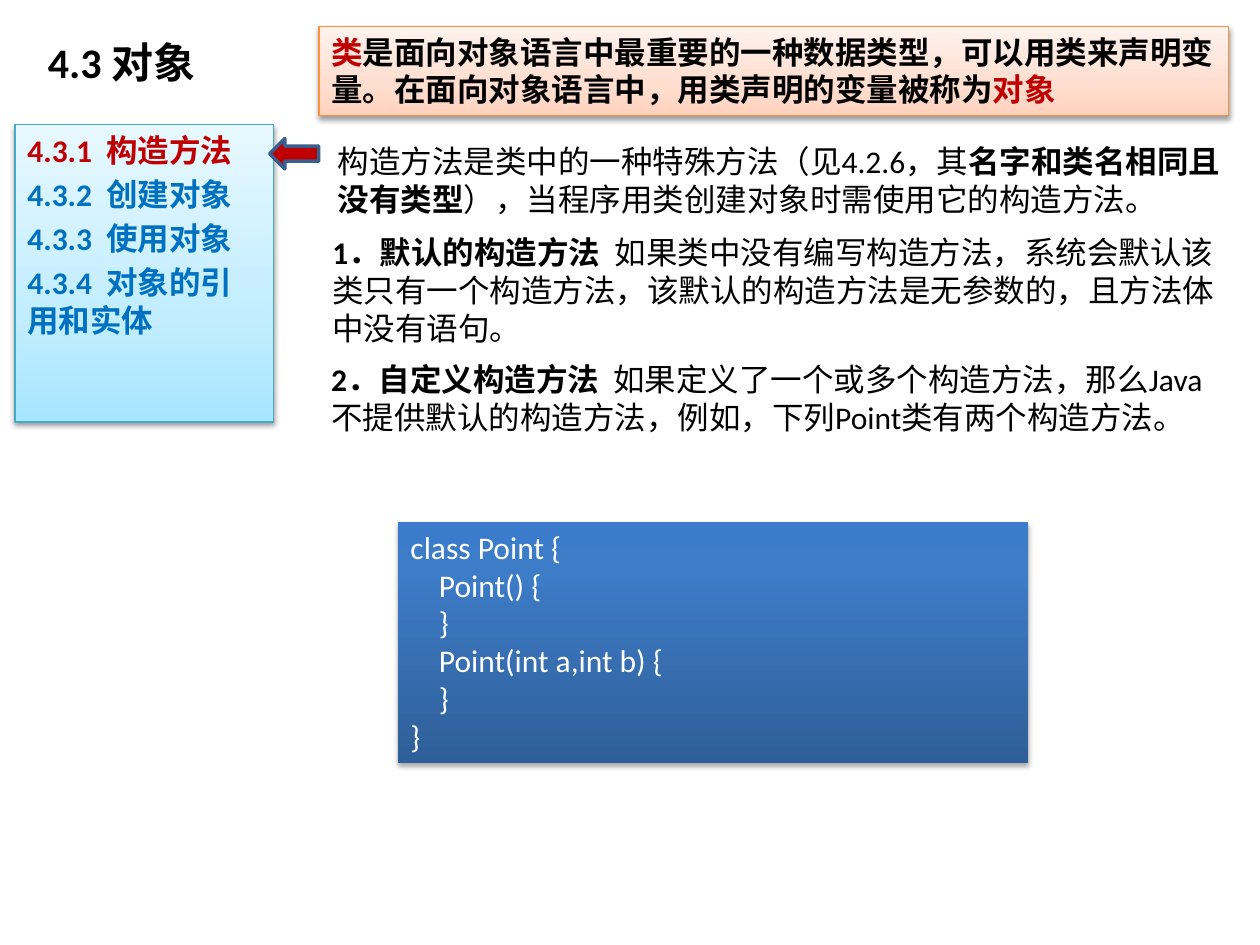
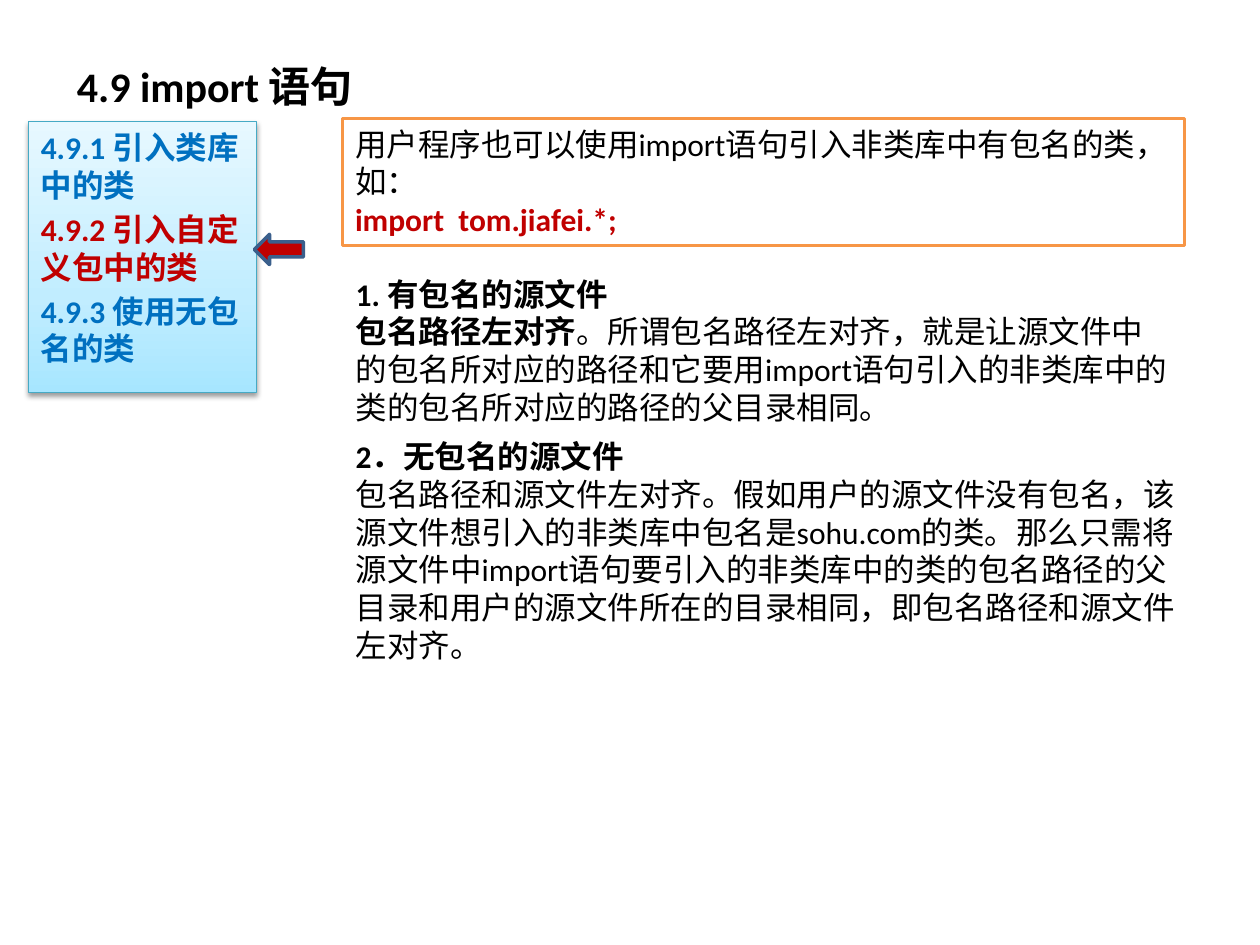
from lxml import etree
from pptx import Presentation
from pptx.dml.color import RGBColor
from pptx.enum.lang import MSO_LANGUAGE_ID
from pptx.enum.shapes import MSO_SHAPE
from pptx.enum.text import MSO_ANCHOR, MSO_AUTO_SIZE, PP_ALIGN
from pptx.oxml import parse_xml
from pptx.util import Pt

RECTANGLE, LEFT_ARROW = MSO_SHAPE.RECTANGLE, MSO_SHAPE.LEFT_ARROW
LEFT, TOP, BOTTOM = PP_ALIGN.LEFT, MSO_ANCHOR.TOP, MSO_ANCHOR.BOTTOM
NO_AUTOFIT = MSO_AUTO_SIZE.NONE
CHINESE = MSO_LANGUAGE_ID.SIMPLIFIED_CHINESE
NAMESPACE = "http://schemas.openxmlformats.org/drawingml/2006/main"

FONT = "Calibri"
BODY_SIZE, TITLE_SIZE, TITLE_HEIGHT = 18, 24, 38
OUTLINE_GAP = 3.6
ARROW_WIDTH, ARROW_HEIGHT = 28, 17.3
BLACK, WHITE, RED, BLUE = "000000", "FFFFFF", "C00000", "0070C0"
ARROW_LINE = "3A5F8C"

# Run styles: colour, bold
STYLES = {
    "plain": (BLACK, False),
    "bold": (BLACK, True),
    "key": (RED, True),
    "topic": (BLUE, True),
    "code": (WHITE, False),
}
# Gradients run from bottom to top; a shadow is (opacity in %, distance)
PANELS = {
    "text": {},
    "outline": {"gradient": [(0, "A7E6FF"), (35, "C1EDFF"), (100, "E7F8FF")],
                "line": ("46AAC5", 0.75), "shadow": (38, 1.6)},
    "definition": {"gradient": [(0, "FFD2BD"), (35, "FFDED0"), (100, "FFF2ED")],
                   "line": ("F69240", 0.75), "shadow": (38, 1.6)},
    "code": {"gradient": [(0, "2F5F99"), (80, "3D7CC7"), (100, "3A7CCB")],
             "shadow": (35, 1.8)},
    "frame": {"fill": WHITE, "line": ("F79646", 2)},
}

# Title place: left, bottom, width. Arrow place: left, top.
# Boxes: panel, (left, top, width, height), paragraphs of (text, style) runs
SLIDES = [
    {
        "title": "4.3 对象",
        "title_place": (20.2, 53, 155),
        "topics": ["4.3.1  构造方法", "4.3.2  创建对象", "4.3.3  使用对象",
                   "4.3.4  对象的引用和实体"],
        "current": 0,
        "outline_place": (8.6, 71.3, 147.6, 169.9),
        "arrow_place": (154.1, 79.2),
        "boxes": [
            ("definition", (182.2, 15.1, 519.8, 51.1), [
                [("类", "key"),
                 ("是面向对象语言中最重要的一种数据类型，可以用类来声明变量。"
                  "在面向对象语言中，用类声明的变量被称为", "bold"),
                 ("对象", "key")]]),
            ("text", (185.8, 77.8, 519.8, 51.1), [
                [("构造方法是类中的一种特殊方法（见4.2.6，其", "plain"),
                 ("名字和类名相同且没有类型", "bold"),
                 ("），当程序用类创建对象时需使用它的构造方法。", "plain")]]),
            ("text", (182.9, 129.6, 528.5, 72.7), [
                [("1．默认的构造方法  ", "bold"),
                 ("如果类中没有编写构造方法，系统会默认该类只有一个构造方法，"
                  "该默认的构造方法是无参数的，且方法体中没有语句。", "plain")]]),
            ("text", (182.2, 202.3, 528.5, 51.1), [
                [("2．自定义构造方法  ", "bold"),
                 ("如果定义了一个或多个构造方法，那么Java不提供默认的构造方法，"
                  "例如，下列Point类有两个构造方法。", "plain")]]),
            ("code", (227.5, 298.1, 360, 138.2), [
                [(line, "code")] for line in (
                    "class Point {",
                    "    Point() {",
                    "    }",
                    "    Point(int a,int b) {",
                    "    }",
                    "}")]),
        ],
    },
    {
        "title": "4.9 import 语句",
        "title_place": (36.7, 67, 233),
        "topics": ["4.9.1 引入类库中的类", "4.9.2 引入自定义包中的类",
                   "4.9.3 使用无包名的类"],
        "current": 1,
        "outline_place": (16.2, 69.5, 130.3, 154.8),
        "arrow_place": (145.4, 133.9),
        "boxes": [
            ("frame", (195.8, 67.7, 481, 72.7), [
                [("用户程序也可以使用import语句引入非类库中有包名的类，如：", "plain")],
                [("import  tom.jiafei.*;", "key")]]),
            ("text", (196.2, 153.4, 480.2, 94.3), [
                [("1. 有包名的源文件", "bold")],
                [("包名路径左对齐", "bold"),
                 ("。所谓包名路径左对齐，就是让源文件中的包名所对应的路径和它要用"
                  "import语句引入的非类库中的类的包名所对应的路径的父目录相同。",
                  "plain")]]),
            ("text", (196.2, 246.2, 493.9, 138.2), [
                [("2．无包名的源文件", "bold")],
                [("包名路径和源文件左对齐。假如用户的源文件没有包名，该源文件想引入的"
                  "非类库中包名是sohu.com的类。那么只需将源文件中import语句要引入的"
                  "非类库中的类的包名路径的父目录和用户的源文件所在的目录相同，"
                  "即包名路径和源文件左对齐。", "plain")]]),
        ],
    },
]


def rgb(value):
    return RGBColor.from_string(value)


def points(*values):
    return [Pt(value) for value in values]


def set_gradient(shape, stops):
    shape.fill.gradient()
    gradient = shape._element.spPr.find(f"{{{NAMESPACE}}}gradFill")
    stop_list = "".join(
        f'<a:gs pos="{position * 1000}"><a:srgbClr val="{color}"/></a:gs>'
        for position, color in stops)
    gradient.getparent().replace(gradient, parse_xml(
        f'<a:gradFill xmlns:a="{NAMESPACE}" rotWithShape="1">'
        f'<a:gsLst>{stop_list}</a:gsLst>'
        '<a:lin ang="16200000" scaled="0"/></a:gradFill>'))


def set_shadow(shape, opacity, distance):
    effects = shape._element.spPr.find(f"{{{NAMESPACE}}}effectLst")
    shadow = etree.SubElement(
        effects, f"{{{NAMESPACE}}}outerShdw", blurRad=str(Pt(3.1)),
        dist=str(Pt(distance)), dir="5400000", rotWithShape="0")
    color = etree.SubElement(shadow, f"{{{NAMESPACE}}}srgbClr", val=BLACK)
    etree.SubElement(color, f"{{{NAMESPACE}}}alpha", val=str(opacity * 1000))


def set_line(shape, color, width):
    shape.line.color.rgb = rgb(color)
    shape.line.width = Pt(width)


def write(frame, paragraphs, anchor=TOP, size=BODY_SIZE, gap=0):
    frame.word_wrap = True
    frame.auto_size = NO_AUTOFIT
    frame.vertical_anchor = anchor
    for index, runs in enumerate(paragraphs):
        paragraph = frame.add_paragraph() if index else frame.paragraphs[0]
        paragraph.alignment = LEFT
        paragraph.space_before = Pt(gap if index else 0)
        for text, style in runs:
            color, bold = STYLES[style]
            run = paragraph.add_run()
            run.text = text
            run.font.name = FONT
            run.font.size = Pt(size)
            run.font.bold = bold
            run.font.color.rgb = rgb(color)
            run.font.language_id = CHINESE


def add_box(slide, panel, place, paragraphs, gap=0):
    look = PANELS[panel]
    if not look:
        shape = slide.shapes.add_textbox(*points(*place))
    else:
        shape = slide.shapes.add_shape(RECTANGLE, *points(*place))
        shape.shadow.inherit = False
        if "gradient" in look:
            set_gradient(shape, look["gradient"])
        else:
            shape.fill.solid()
            shape.fill.fore_color.rgb = rgb(look["fill"])
        if "line" in look:
            set_line(shape, *look["line"])
        else:
            shape.line.fill.background()
        if "shadow" in look:
            set_shadow(shape, *look["shadow"])
    write(shape.text_frame, paragraphs, gap=gap)


def add_title(slide, text, left, bottom, width):
    title = slide.shapes.title
    title.left, title.top, title.width, title.height = points(
        left, bottom - TITLE_HEIGHT, width, TITLE_HEIGHT)
    write(title.text_frame, [[(text, "bold")]], BOTTOM, TITLE_SIZE)


def add_arrow(slide, left, top):
    arrow = slide.shapes.add_shape(
        LEFT_ARROW, *points(left, top, ARROW_WIDTH, ARROW_HEIGHT))
    arrow.shadow.inherit = False
    arrow.fill.solid()
    arrow.fill.fore_color.rgb = rgb(RED)
    set_line(arrow, ARROW_LINE, 2)


def add_slide(presentation, content):
    slide = presentation.slides.add_slide(presentation.slide_layouts[5])
    add_title(slide, content["title"], *content["title_place"])
    topics = [[(topic, "key" if index == content["current"] else "topic")]
              for index, topic in enumerate(content["topics"])]
    add_box(slide, "outline", content["outline_place"], topics, OUTLINE_GAP)
    add_arrow(slide, *content["arrow_place"])
    for box in content["boxes"]:
        add_box(slide, *box)


def main():
    presentation = Presentation()
    presentation.slide_width, presentation.slide_height = points(720, 540)
    for content in SLIDES:
        add_slide(presentation, content)
    presentation.save("out.pptx")


if __name__ == "__main__":
    main()
